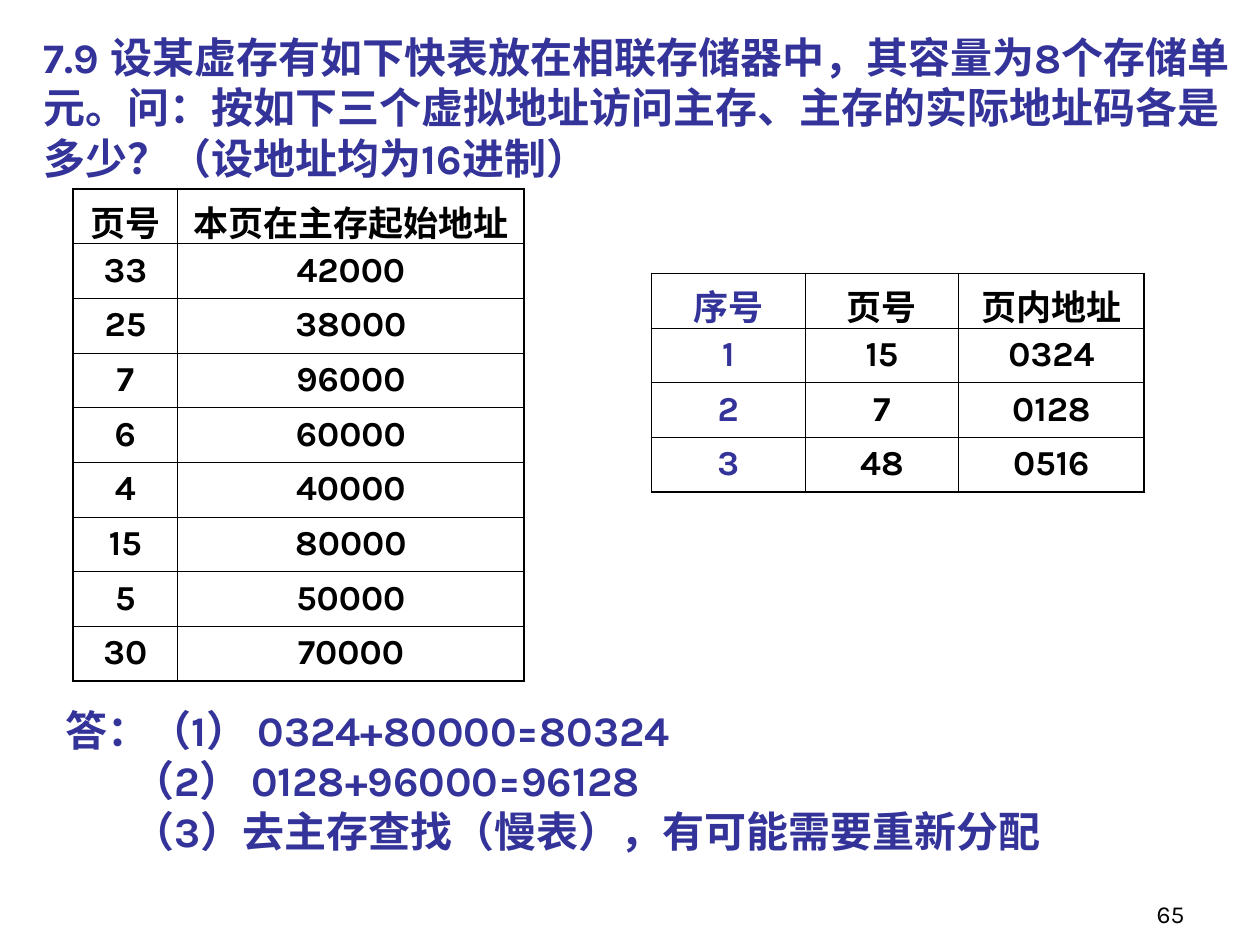
import pptx
import pptx.dml.color
import pptx.enum.text
import pptx.oxml
import pptx.oxml.ns
import pptx.util

Inches = pptx.util.Inches
Pt = pptx.util.Pt
ALIGN = pptx.enum.text.PP_ALIGN
ANCHOR = pptx.enum.text.MSO_ANCHOR
COLORS = {"blue": "333399", "black": "000000"}


class SlideBuilder:
    font = "Karla"
    outer_line = 1.08
    inner_line = 0.45

    def __init__(self, page):
        self.page = page

    def add_span(self, para, text, size, color, bold=True, align=ALIGN.LEFT):
        para.alignment = align
        span = para.add_run()
        span.text = text
        formats = {"name": self.font, "size": Pt(size), "bold": bold}
        for name, value in formats.items():
            setattr(span.font, name, value)
        span.font.color.rgb = pptx.dml.color.RGBColor.from_string(COLORS[color])

    def add_text(self, bounds, lines, size=24, color="blue", bold=True,
                 align=ALIGN.LEFT, anchor=ANCHOR.TOP):
        box = self.page.shapes.add_textbox(*map(Inches, bounds))
        frame = box.text_frame
        formats = {"word_wrap": True, "vertical_anchor": anchor}
        for name, value in formats.items():
            setattr(frame, name, value)
        for index, (line, indent) in enumerate(lines):
            para = frame.add_paragraph() if index else frame.paragraphs[0]
            self.add_span(para, line, size, color, bold, align)
            if indent:
                para._p.get_or_add_pPr().set("indent", str(Inches(indent)))

    def add_border(self, cell, side, width):
        namespace = pptx.oxml.ns.nsdecls("a")
        line = pptx.oxml.parse_xml(
            f'<a:ln{side} {namespace} w="{Pt(width)}"><a:solidFill>'
            f'<a:srgbClr val="{COLORS["black"]}"/></a:solidFill></a:ln{side}>')
        cell._tc.get_or_add_tcPr().append(line)

    def add_table(self, left, top, height, widths, rows, first_color="black"):
        last_row, last_column = len(rows) - 1, len(widths) - 1
        bounds = (left, top, sum(widths), height)
        table = self.page.shapes.add_table(
            len(rows), len(widths), *map(Inches, bounds)).table
        for name in ("first_row", "horz_banding"):
            setattr(table, name, False)
        for column, width in zip(table.columns, widths):
            column.width = Inches(width)
        for r, values in enumerate(rows):
            for c, value in enumerate(values):
                cell = table.cell(r, c)
                edges = {"L": c == 0, "R": c == last_column,
                         "T": r == 0, "B": r == last_row}
                for side, outer in edges.items():
                    self.add_border(cell, side,
                                    self.outer_line if outer else self.inner_line)
                cell.fill.background()
                color = "black" if c else first_color
                self.add_span(cell.text_frame.paragraphs[0], value, 20, color,
                              align=ALIGN.CENTER)


def main():
    deck = pptx.Presentation()
    deck.slide_width, deck.slide_height = Inches(10), Inches(7.5)
    builder = SlideBuilder(deck.slides.add_slide(deck.slide_layouts[6]))

    builder.add_text((7.42, 6.92, 2.08, 0.5), [("65", 0)], size=14, color="black",
                     bold=False, align=ALIGN.RIGHT, anchor=ANCHOR.BOTTOM)
    builder.add_text((0.25, 0.2, 9.88, 1.3), [
        ("7.9 设某虚存有如下快表放在相联存储器中，其容量为8个存储单", 0),
        ("元。问：按如下三个虚拟地址访问主存、主存的实际地址码各是", 0),
        ("多少？（设地址均为16进制）", 0),
    ])
    builder.add_table(0.58, 1.5, 3.9, (0.83, 2.75), [
        ("页号", "本页在主存起始地址"),
        ("33", "42000"),
        ("25", "38000"),
        ("7", "96000"),
        ("6", "60000"),
        ("4", "40000"),
        ("15", "80000"),
        ("5", "50000"),
        ("30", "70000"),
    ])
    builder.add_table(5.17, 2.17, 1.73, (1.22, 1.22, 1.47), [
        ("序号", "页号", "页内地址"),
        ("1", "15", "0324"),
        ("2", "7", "0128"),
        ("3", "48", "0516"),
    ], first_color="blue")
    builder.add_text((0.42, 5.54, 8.08, 1.3), [
        ("答：（1） 0324+80000=80324", 0),
        ("（2） 0128+96000=96128", 0.53),
        ("（3）去主存查找（慢表），有可能需要重新分配", 0.53),
    ])
    deck.save("out.pptx")


if __name__ == "__main__":
    main()
